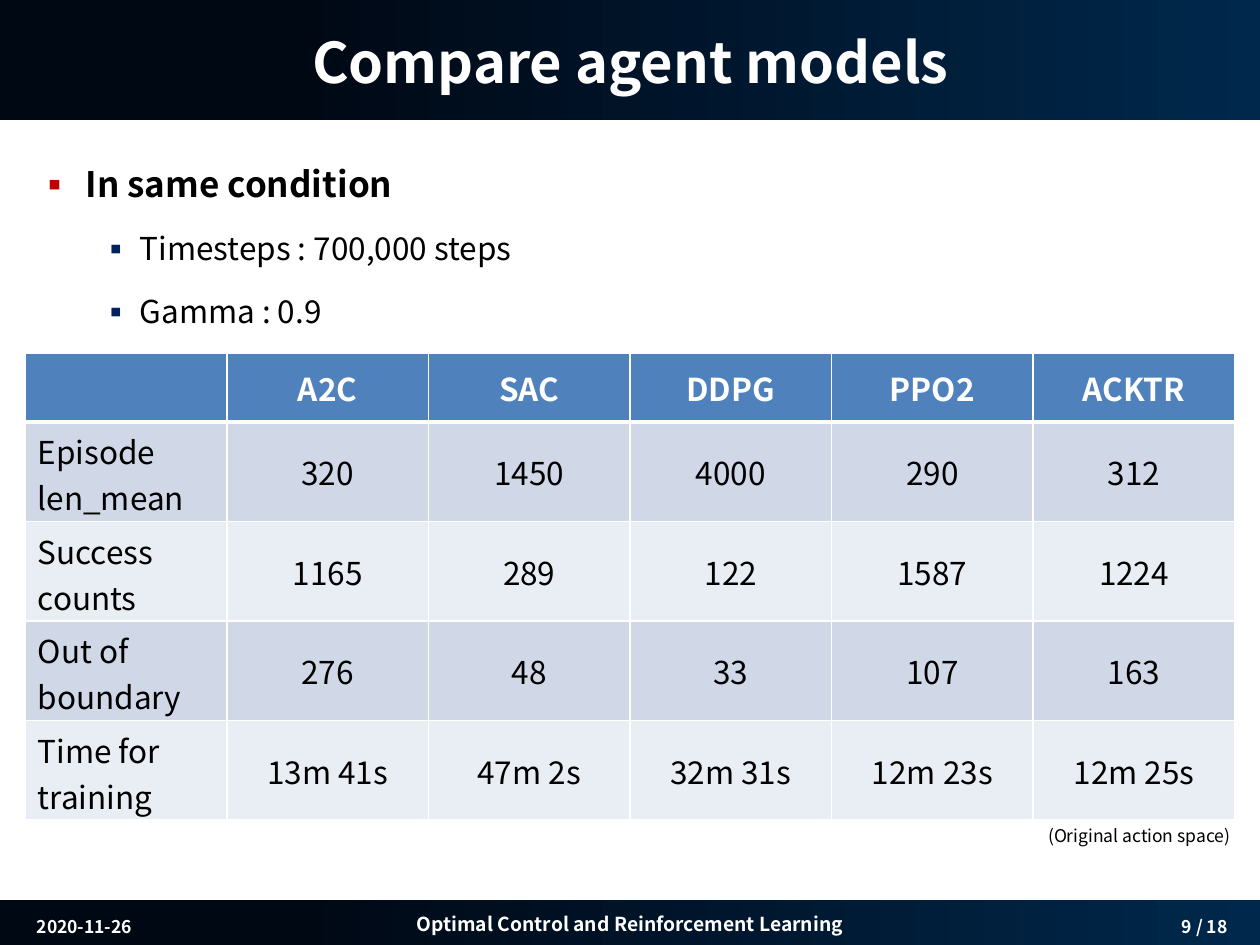
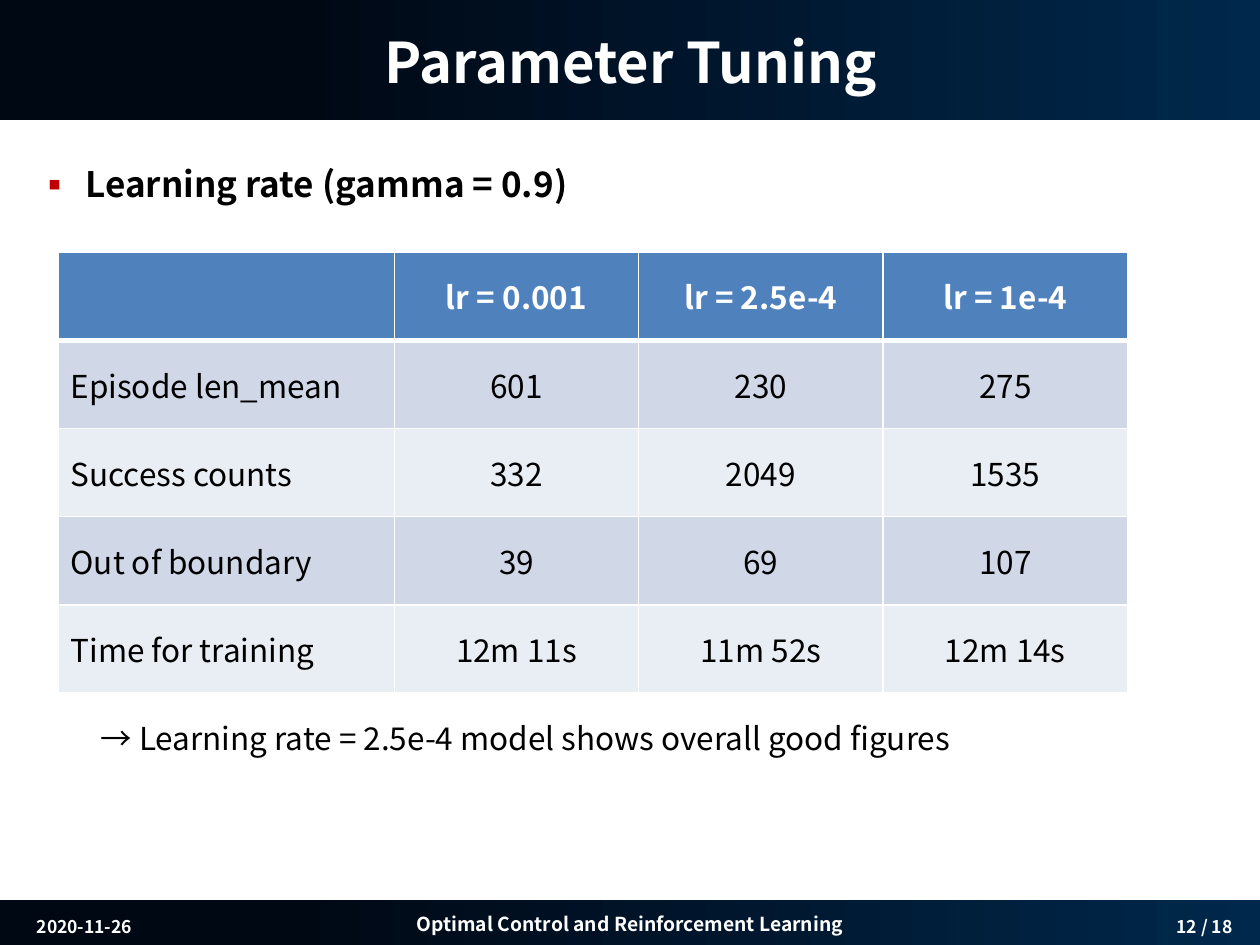
from lxml.etree import SubElement
from pptx import Presentation
from pptx.dml.color import RGBColor
from pptx.enum.shapes import MSO_SHAPE as SHAPE
from pptx.enum.text import MSO_ANCHOR as ANCHOR, PP_ALIGN as ALIGN
from pptx.oxml.ns import qn
from pptx.util import Inches, Pt

FONT = "Noto Sans CJK KR"
COLORS = {
    "white": "FFFFFF", "black": "000000", "navy": "00284C", "night": "000814",
    "header": "4F81BD", "odd": "D0D8E8", "even": "E9EDF4",
    "red": "C00000", "blue": "002060",
}
PAGES = 18
BODY = (0.2, 1.07, 9.61, 5.91)
LEVELS = [
    dict(size=20, bold=True, bullet="red", indent=0.38, hang=0.38),
    dict(size=18, bullet="blue", indent=0.81, hang=0.31),
]
METRICS = ["Episode len_mean", "Success counts", "Out of boundary", "Time for training"]


def rgb(name):
    """Return the named colour."""
    return RGBColor.from_string(COLORS[name])


def write(p, text, size=18, color="black", bold=False, align=ALIGN.LEFT,
          before=0, spacing=None, bullet=None, indent=0, hang=0):
    """Put formatted text in a paragraph."""
    r = p.add_run()
    r.text = text
    r.font.name, r.font.size, r.font.bold = FONT, Pt(size), bold
    r.font.color.rgb = rgb(color)
    p.alignment, p.space_before, p.line_spacing = align, Pt(before), spacing
    props = p._p.get_or_add_pPr()
    for tag in ("a:latin", "a:ea"):
        if r.font._element.find(qn(tag)) is None:
            SubElement(r.font._element, qn(tag), typeface=FONT)
    if indent:
        props.set("marL", str(Inches(indent)))
        props.set("indent", str(-Inches(hang)))
    if bullet:
        clr = SubElement(props, qn("a:buClr"))
        SubElement(clr, qn("a:srgbClr"), val=COLORS[bullet])
        SubElement(props, qn("a:buFont"), typeface=FONT)
        SubElement(props, qn("a:buChar"), char="▪")


def add_text(s, box, text, **fmt):
    """Add a wrapped text box with one paragraph."""
    tf = s.shapes.add_textbox(*map(Inches, box)).text_frame
    tf.word_wrap = True
    write(tf.paragraphs[0], text, **fmt)
    return tf


def add_band(s, box):
    """Add a dark gradient band."""
    sp = s.shapes.add_shape(SHAPE.RECTANGLE, *map(Inches, box))
    sp.shadow.inherit = False
    sp.line.fill.background()
    sp.fill.gradient()
    sp.fill.gradient_angle = 180
    for stop, (name, pos) in zip(sp.fill.gradient_stops, [("navy", 0), ("night", 0.77)]):
        stop.color.rgb = rgb(name)
        stop.position = pos
    return sp


def add_header(s, box, title):
    """Add the top band and the title over it."""
    x, y, w, h = box
    add_band(s, box)
    sp = s.shapes.title
    sp.left, sp.top, sp.width, sp.height = map(Inches, (x + 0.2, y + 0.15, w - 0.4, h - 0.28))
    sp.text_frame.vertical_anchor = ANCHOR.MIDDLE
    write(sp.text_frame.paragraphs[0], title, size=32, color="white", bold=True,
          align=ALIGN.CENTER)
    s.shapes._spTree.append(sp._element)


def add_footer(s, box, page):
    """Add the bottom band with date, course and page number."""
    x, y, w, h = box
    fmt = dict(color="white", bold=True, align=ALIGN.CENTER)
    tf = add_band(s, box).text_frame
    tf.vertical_anchor, tf.word_wrap = ANCHOR.MIDDLE, False
    write(tf.paragraphs[0], "Optimal Control and Reinforcement Learning", size=11, **fmt)
    for dx, width, text in [(9.18, 0.78, f"{page} / {PAGES}"), (0.05, 1.26, "2020-11-26")]:
        add_text(s, (x + dx, y + 0.08, width, 0.27), text, size=10, before=2, **fmt)


def add_bullets(s, box, items):
    """Add bulleted lines given as (level, text)."""
    tf = s.shapes.add_textbox(*map(Inches, box)).text_frame
    tf.word_wrap = True
    for i, (level, text) in enumerate(items):
        p = tf.add_paragraph() if i else tf.paragraphs[0]
        p.level = level
        fmt = LEVELS[level]
        write(p, text, spacing=1.5, before=fmt["size"] * 0.2, **fmt)


def add_borders(cell, top=1, bottom=1):
    """Draw white cell borders, with widths in points."""
    props = cell._tc.get_or_add_tcPr()
    for i, (side, width) in enumerate([("L", 1), ("R", 1), ("T", top), ("B", bottom)]):
        ln = SubElement(props, qn(f"a:ln{side}"), w=str(Pt(width)))
        fill = SubElement(ln, qn("a:solidFill"))
        SubElement(fill, qn("a:srgbClr"), val=COLORS["white"])
        props.insert(i, ln)


def add_results(s, box, heads, values, widths, heights):
    """Add a table with one row for each metric."""
    rows = [["", *heads]] + [[m, *v] for m, v in zip(METRICS, values)]
    table = s.shapes.add_table(len(rows), len(rows[0]), *map(Inches, box)).table
    for col, width in zip(table.columns, widths):
        col.width = Inches(width)
    for i, row in enumerate(rows):
        table.rows[i].height = Inches(heights[i])
        for j, text in enumerate(row):
            cell = table.cell(i, j)
            cell.vertical_anchor = ANCHOR.MIDDLE
            cell.fill.solid()
            cell.fill.fore_color.rgb = rgb("odd" if i % 2 else "even" if i else "header")
            add_borders(cell, top=3 if i == 1 else 1, bottom=1 if i else 3)
            if text:
                write(cell.text_frame.paragraphs[0], text, bold=i == 0,
                      color="black" if i else "white",
                      align=ALIGN.CENTER if j else ALIGN.LEFT)


def add_page(prs, title, page):
    """Add a slide with its header and footer."""
    s = prs.slides.add_slide(prs.slide_layouts[5])
    add_header(s, (0, 0, 10.01, 0.95), title)
    add_footer(s, (-0.01, 7.14, 10.02, 0.38), page)
    return s


def add_models(prs):
    """Add the comparison of agent models."""
    s = add_page(prs, "Compare agent models", 9)
    add_bullets(s, BODY, [(0, "In same condition"), (1, "Timesteps : 700,000 steps"),
                          (1, "Gamma : 0.9")])
    add_results(s, (0.2, 2.8, 9.6, 3.71), ["A2C", "SAC", "DDPG", "PPO2", "ACKTR"], [
        ["320", "1450", "4000", "290", "312"],
        ["1165", "289", "122", "1587", "1224"],
        ["276", "48", "33", "107", "163"],
        ["13m 41s", "47m 2s", "32m 31s", "12m 23s", "12m 25s"],
    ], [1.6] * 6, [0.55] + [0.79] * 4)
    add_text(s, (5.05, 6.5, 4.81, 0.27), "(Original action space)", size=10, align=ALIGN.RIGHT)


def add_tuning(prs):
    """Add the learning rate results."""
    s = add_page(prs, "Parameter Tuning", 12)
    add_bullets(s, BODY, [(0, "Learning rate (gamma = 0.9)")])
    add_results(s, (0.46, 2, 8.48, 3.5), ["lr = 0.001", "lr = 2.5e-4", "lr = 1e-4"], [
        ["601", "230", "275"],
        ["332", "2049", "1535"],
        ["39", "69", "107"],
        ["12m 11s", "11m 52s", "12m 14s"],
    ], [2.67] + [1.94] * 3, [0.7] * 5)
    add_text(s, (0.2, 5.51, 9.61, 0.6),
             "→ Learning rate = 2.5e-4 model shows overall good figures",
             spacing=1.5, indent=0.5)


def main():
    """Build and save the slides."""
    prs = Presentation()
    prs.slide_width, prs.slide_height = Inches(10), Inches(7.5)
    add_models(prs)
    add_tuning(prs)
    prs.save("out.pptx")


if __name__ == "__main__":
    main()
